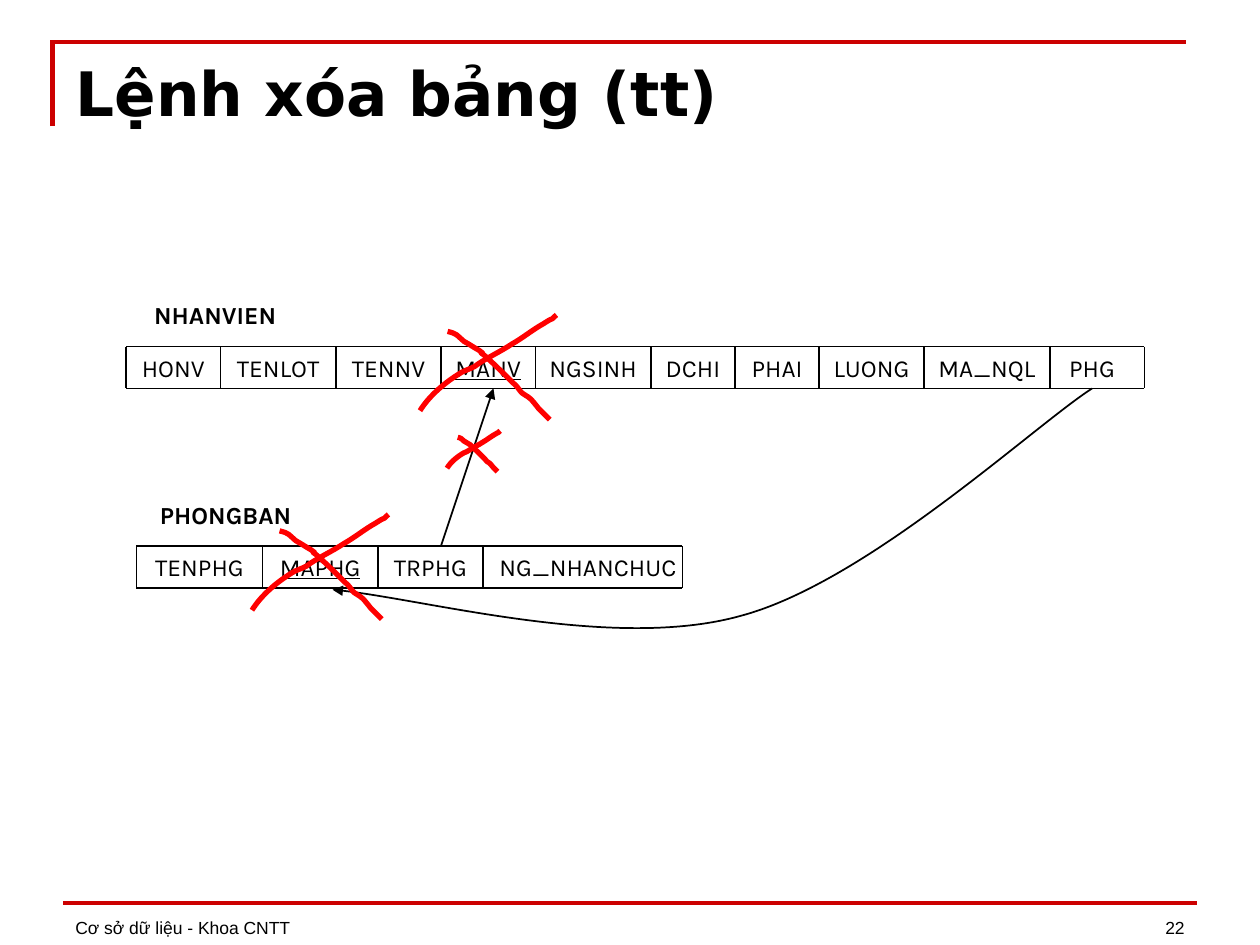
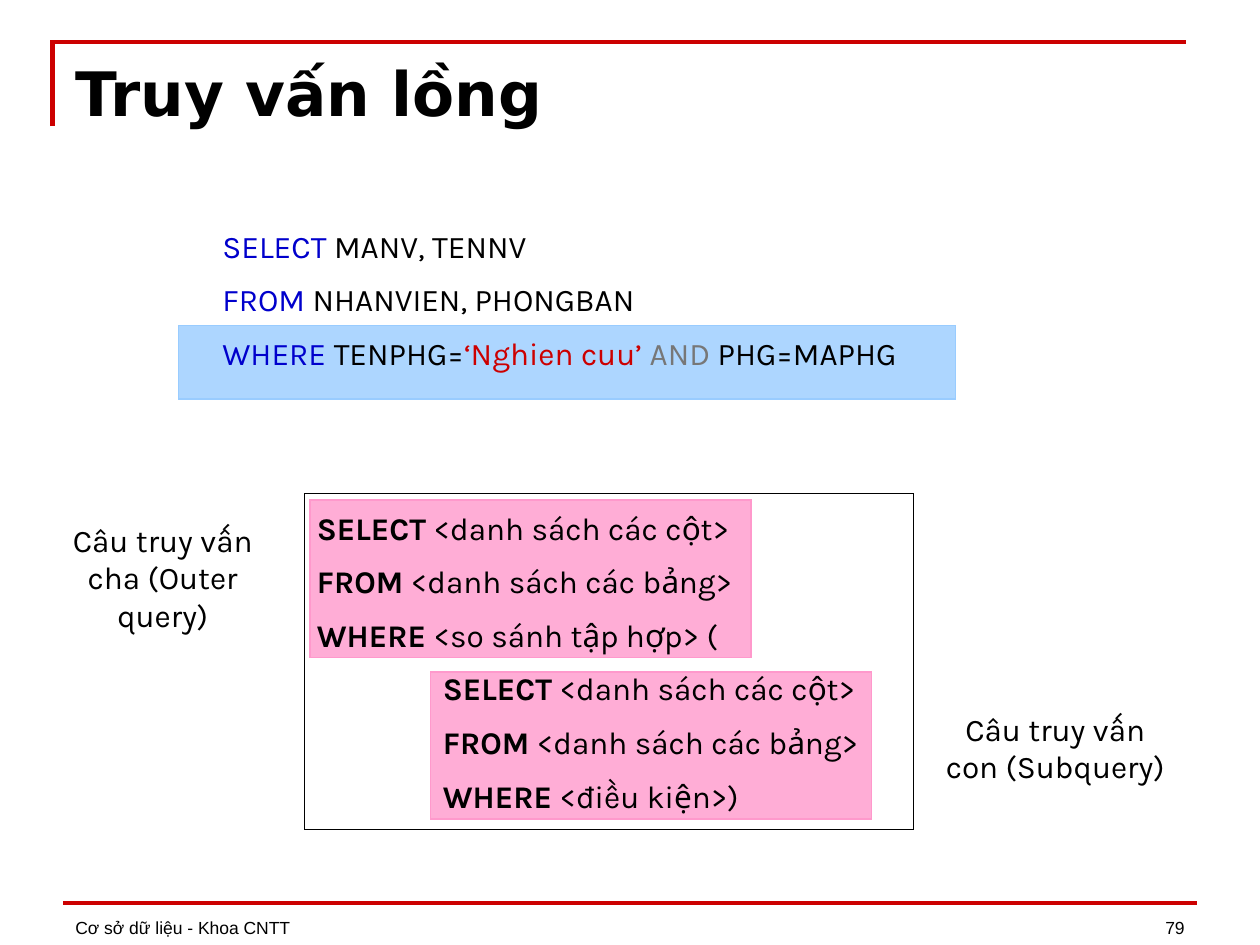
from lxml import etree
from pptx import Presentation
from pptx.dml.color import RGBColor
from pptx.enum import shapes, text
from pptx.oxml import ns
from pptx.util import Pt

BLACK = RGBColor(0, 0, 0)
BAND = RGBColor(0xCC, 0, 0)
RED = RGBColor(0xFF, 0, 0)
BLUE = RGBColor(0, 0, 0xCC)
GRAY = RGBColor(0x77, 0x77, 0x77)
PINK = RGBColor(0xFF, 0x99, 0xCC)
SKY = RGBColor(0x99, 0xCC, 0xFF)

HEAD, FOOT, BODY = "DejaVu Sans", "Arial", "Karla"
LEFT, MID, RIGHT = text.PP_ALIGN.LEFT, text.PP_ALIGN.CENTER, text.PP_ALIGN.RIGHT
ROW = 24  # height of a schema row

# Two pen strokes of a cross: a start, then curves of three points each
RISE = [(0, 54.7),
        (5.8, 45.4), (15.8, 37.4), (24.5, 32.4),
        (27.4, 31), (31, 30.2), (33.1, 28.1),
        (39.6, 23.8), (46.1, 20.9), (52.6, 16.6),
        (59, 13), (64.1, 8.6), (70.6, 5),
        (72, 4.3), (73.4, 2.9), (75.6, 2.2),
        (76.3, 1.4), (78, 0), (78, 0)]
FALL = [(15.8, 9.4),
        (21.6, 10.8), (20.9, 11.5), (25.2, 15.1),
        (28.1, 16.6), (31, 18.7), (33.8, 20.2),
        (39.6, 24.5), (31.7, 19.4), (36.7, 23),
        (42.5, 28.1), (47.5, 33.1), (53.3, 38.9),
        (55.4, 40.3), (56.9, 43.2), (58.3, 44.6),
        (60.5, 46.1), (63.4, 47.5), (64.8, 49.7),
        (66.2, 51.1), (67, 52.6), (67.7, 53.3),
        (68.4, 54.7), (69.8, 54.7), (70.6, 56.2),
        (72, 56.9), (72.7, 59), (74.2, 59.8)]


# Lines and outlines
def stroke(shape, color, width, arrow=False, sharp=False):
    shape.line.color.rgb = color
    shape.line.width = Pt(width)
    ln = shape._element.spPr.find(ns.qn("a:ln"))
    if sharp:
        etree.SubElement(ln, ns.qn("a:miter"), lim="800000")
    if arrow:
        etree.SubElement(ln, ns.qn("a:tailEnd"), type="triangle")


def add_line(slide, x1, y1, x2, y2, color=BLACK, width=1, arrow=False):
    line = slide.shapes.add_connector(
        shapes.MSO_CONNECTOR.STRAIGHT, Pt(x1), Pt(y1), Pt(x2), Pt(y2))
    stroke(line, color, width, arrow)
    etree.SubElement(line._element.spPr, ns.qn("a:effectLst"))


def add_trace(slide, dots, color, width, arrow=False, sharp=False):
    dots = [(Pt(x), Pt(y)) for x, y in dots]
    pen = slide.shapes.build_freeform(*dots[0])
    pen.add_line_segments(dots[1:], close=False)
    shape = pen.convert_to_shape()
    shape.fill.background()
    shape.shadow.inherit = False
    stroke(shape, color, width, arrow, sharp)
    return shape


def add_curve(slide, knots, color, width, arrow=False):
    """Trace the knots, then join every three segments into one cubic."""
    shape = add_trace(slide, knots, color, width, arrow)
    legs = list(shape._element.iter(ns.qn("a:lnTo")))
    for i in range(0, len(legs), 3):
        bend = etree.Element(ns.qn("a:cubicBezTo"))
        legs[i].addprevious(bend)
        for leg in legs[i:i + 3]:
            bend.append(leg[0])
            leg.getparent().remove(leg)


def add_cross(slide, x, y, scale=1.0):
    for knots in (RISE, FALL):
        moved = [(x + scale * a, y + scale * b) for a, b in knots]
        add_curve(slide, moved, RED, 3)


# Text and boxes
def style(font, size, name, color=BLACK, bold=False, under=False):
    font.size = Pt(size)
    font.name = name
    font.color.rgb = color
    font.bold = bold
    font.underline = under


def add_text(slide, words, x, y, w, h, size, name, align=LEFT, side=7.2,
             low=False, bold=False, under=False):
    frame = slide.shapes.add_textbox(Pt(x), Pt(y), Pt(w), Pt(h)).text_frame
    frame.word_wrap = True
    frame.margin_left = frame.margin_right = Pt(side)
    if low:
        frame.vertical_anchor = text.MSO_ANCHOR.BOTTOM
    frame.text = words
    par = frame.paragraphs[0]
    par.alignment = align
    style(par.runs[0].font, size, name, bold=bold, under=under)


def set_tab(par, pos):
    tabs = etree.SubElement(par._p.get_or_add_pPr(), ns.qn("a:tabLst"))
    etree.SubElement(tabs, ns.qn("a:tab"), pos=str(Pt(pos)), algn="l")


def add_code(frame, lines):
    """Each line is a list of (words, color, bold)."""
    frame.word_wrap = True
    for i, line in enumerate(lines):
        par = frame.paragraphs[0] if i == 0 else frame.add_paragraph()
        par.alignment = LEFT
        if i:
            par.space_before = Pt(9)
        if line[0][0].startswith("\t"):
            set_tab(par, 72)
        for words, color, bold in line:
            run = par.add_run()
            run.text = words
            style(run.font, 18, BODY, color, bold)


def add_box(slide, x, y, w, h, tint=None):
    box = slide.shapes.add_shape(
        shapes.MSO_SHAPE.RECTANGLE, Pt(x), Pt(y), Pt(w), Pt(h))
    box.shadow.inherit = False
    stroke(box, tint or BLACK, 1, sharp=True)
    if tint is None:
        box.fill.background()
        return box
    box.fill.solid()
    box.fill.fore_color.rgb = tint
    paint = box._element.spPr.find(ns.qn("a:solidFill"))[0]
    etree.SubElement(paint, ns.qn("a:alpha"), val="80000")
    return box


def add_schema(slide, name, left, top, edges, fields, key, end):
    """A relation: its name, and one ruled row of fields."""
    add_text(slide, name, left, top - 30, 102, ROW, 14, BODY, MID, bold=True)
    for y in (top, top + ROW):
        add_line(slide, edges[0], y, edges[-1], y)
    for field, x, stop in zip(fields, edges, edges[1:-1] + [end]):
        add_text(slide, field, x, top, stop - x, ROW, 14, BODY, MID, side=0,
                 under=field == key)
    for x in edges:
        add_line(slide, x, top, x, top + ROW)


# Shared frame of the slides
def add_slide(deck, title, number):
    slide = deck.slides.add_slide(deck.slide_layouts[6])
    add_trace(slide, [(30, 72), (30, 24), (678, 24)], BAND, 2.5, sharp=True)
    add_line(slide, 36, 516, 684, 516, BAND, 2)
    add_text(slide, "Cơ sở dữ liệu - Khoa CNTT", 36, 503.5, 438, 36, 10, FOOT, low=True)
    add_text(slide, number, 516, 503.5, 168, 36, 10, FOOT, RIGHT, low=True)
    return slide


def add_title(slide, title):
    add_text(slide, title, 36, 28, 660, 49, 35, HEAD, bold=True)


def drop_slide(deck):
    slide = add_slide(deck, "Lệnh xóa bảng (tt)", "22")
    add_title(slide, "Lệnh xóa bảng (tt)")
    add_schema(slide, "NHANVIEN", 72, 198,
               [72, 126, 192, 252, 306, 372, 420, 468, 528, 600, 654],
               ["HONV", "TENLOT", "TENNV", "MANV", "NGSINH", "DCHI", "PHAI",
                "LUONG", "MA_NQL", "PHG"], "MANV", 648)
    add_schema(slide, "PHONGBAN", 78, 312, [78, 150, 216, 276, 390],
               ["TENPHG", "MAPHG", "TRPHG", "NG_NHANCHUC"], "MAPHG", 396)
    # Foreign keys
    add_line(slide, 252, 312, 282, 222, arrow=True)
    link = [(624, 222), (590, 244), (495, 333), (423, 352),
            (351, 372), (238, 341), (190, 337)]
    add_curve(slide, link, BLACK, 1, arrow=True)
    # Crossed-out links and keys
    add_cross(slide, 255.4, 246.2, 0.39)
    add_cross(slide, 240, 180)
    add_cross(slide, 144, 294)


def nest_slide(deck):
    slide = add_slide(deck, "Truy vấn lồng", "79")
    # Tinted areas
    add_box(slide, 177, 285.7, 252, 90, PINK)
    add_box(slide, 246, 384, 252, 84, PINK)
    add_box(slide, 102, 186, 444, 42, SKY)
    add_title(slide, "Truy vấn lồng")
    # Sample query
    query = slide.shapes.add_textbox(Pt(120), Pt(126), Pt(438), Pt(94))
    add_code(query.text_frame, [
        [("SELECT", BLUE, False), (" MANV, TENNV", BLACK, False)],
        [("FROM ", BLUE, False), ("NHANVIEN, PHONGBAN", BLACK, False)],
        [("WHERE ", BLUE, False), ("TENPHG=", BLACK, False),
         ("‘Nghien cuu’ ", BAND, False), ("AND ", GRAY, False),
         ("PHG=MAPHG", BLACK, False)]])
    # General form
    form = add_box(slide, 174, 282, 348, 192).text_frame
    form.vertical_anchor = text.MSO_ANCHOR.MIDDLE
    pairs = [("SELECT", " <danh sách các cột>"),
             ("FROM", " <danh sách các bảng>"),
             ("WHERE", " <so sánh tập hợp> ("),
             ("\tSELECT", " <danh sách các cột>"),
             ("\tFROM", " <danh sách các bảng>"),
             ("\tWHERE", " <điều kiện>)")]
    add_code(form, [[(word, BLACK, True), (rest, BLACK, False)] for word, rest in pairs])
    # Side notes
    for words, x, y in (("Câu truy vấn cha (Outer query)", 18, 294),
                        ("Câu truy vấn con (Subquery)", 528, 402)):
        add_text(slide, words, x, y, 150, 50, 18, BODY, MID, side=10)


def main():
    deck = Presentation()
    deck.slide_width, deck.slide_height = Pt(720), Pt(540)
    drop_slide(deck)
    nest_slide(deck)
    deck.save("out.pptx")


if __name__ == "__main__":
    main()
